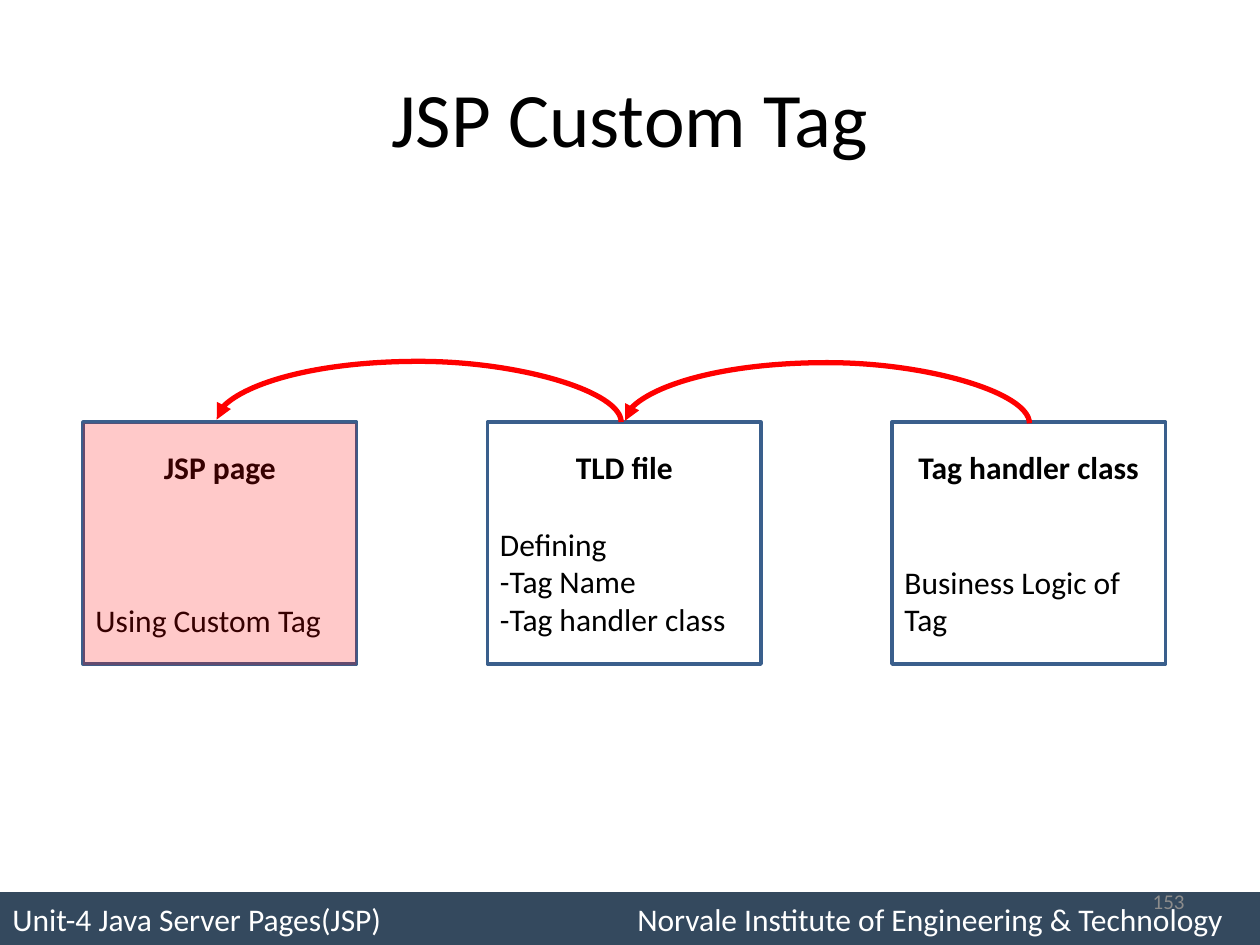
from dataclasses import dataclass
from typing import Any

from pptx import Presentation
from pptx import util as u
from pptx.dml.color import RGBColor
from pptx.enum import shapes, text
from pptx.oxml.ns import qn
from lxml import etree

LEFT, CENTER, RIGHT = text.PP_ALIGN.LEFT, text.PP_ALIGN.CENTER, text.PP_ALIGN.RIGHT


def color(value):
    return RGBColor.from_string(value)


def add_xml(parent, tag, **attributes):
    return etree.SubElement(parent, qn(tag), attributes)


def apply(target, values):
    for name, value in values.items():
        setattr(target, name, value)


@dataclass
class SlideBuilder:
    page: Any
    font: str = "Calibri"
    body_size: int = 18
    line_height: int = 22
    ink: str = "000000"
    border: str = "3A5F8C"
    accent: str = "FF0000"
    first_column: float = 0.66
    column_step: float = 3.21
    row_top: float = 3.35
    box_width: float = 2.17
    box_height: float = 1.92

    def column(self, index):
        return self.first_column + index * self.column_step

    def fill_text(self, shape, lines):
        frame = shape.text_frame
        apply(frame, {"word_wrap": True, "vertical_anchor": text.MSO_ANCHOR.MIDDLE})
        for index, (words, style) in enumerate(lines):
            para = frame.paragraphs[0] if index == 0 else frame.add_paragraph()
            apply(para, {
                "alignment": style.get("align", LEFT),
                "space_before": u.Pt(style.get("gap_lines", 0) * self.line_height),
            })
            span = para.add_run()
            span.text = words
            apply(span.font, {
                "name": self.font,
                "size": u.Pt(style.get("size", self.body_size)),
                "bold": style.get("bold", False),
            })
            span.font.color.rgb = color(style.get("color", self.ink))

    def title(self, words):
        box = self.page.shapes.title
        apply(box, {"left": u.Inches(0.5), "top": u.Inches(0.3),
                    "width": u.Inches(9), "height": u.Inches(1.25)})
        self.fill_text(box, [(words, {"size": 44, "align": CENTER})])

    def rectangle(self, left, top, width, height, fill=None, line=None, alpha=None):
        box = self.page.shapes.add_shape(
            shapes.MSO_SHAPE.RECTANGLE, *map(u.Inches, (left, top, width, height)))
        box.shadow.inherit = False
        if fill:
            box.fill.solid()
            box.fill.fore_color.rgb = color(fill)
            if alpha:
                paint = box._element.spPr.find(qn("a:solidFill"))[0]
                add_xml(paint, "a:alpha", val=str(alpha * 1000))
        else:
            box.fill.background()
        if line:
            box.line.color.rgb = color(line)
            box.line.width = u.Pt(2)
        else:
            box.line.fill.background()
        return box

    def card(self, index, heading, details, gap_lines):
        box = self.rectangle(self.column(index), self.row_top,
                             self.box_width, self.box_height, line=self.border)
        lines = [(heading, {"bold": True, "align": CENTER})]
        lines += [(words, {"gap_lines": 0 if row else gap_lines})
                  for row, words in enumerate(details)]
        self.fill_text(box, lines)

    def highlight(self, index):
        self.rectangle(self.column(index), self.row_top + 0.01,
                       self.box_width, self.box_height, fill=self.accent, alpha=21)

    def arc(self, start_x, start_y, rise=0.48, drop=0.02):
        half = self.column_step / 2
        center_x = start_x - half
        center_y = start_y - drop / 2
        arrow = self.page.shapes.add_connector(
            shapes.MSO_CONNECTOR.CURVE,
            u.Inches(center_x - drop / 2), u.Inches(center_y + half),
            u.Inches(center_x + drop / 2), u.Inches(center_y - half))
        arrow.line.color.rgb = color(self.accent)
        arrow.line.width = u.Pt(3)
        properties = arrow._element.spPr
        properties.find(qn("a:xfrm")).set("rot", str(270 * 60000))
        guides = properties.find(qn("a:prstGeom")).find(qn("a:avLst"))
        add_xml(guides, "a:gd", name="adj1", fmla=f"val {round(rise / drop * 100000)}")
        add_xml(properties.find(qn("a:ln")), "a:tailEnd", type="triangle")
        add_xml(properties, "a:effectLst")

    def footer(self, unit, institute):
        bar = self.rectangle(0, 7.08, 10, 0.42, fill="34495E")
        self.fill_text(bar, [(f"{unit}\t{institute}", {"color": "FFFFFF"})])
        properties = bar.text_frame.paragraphs[0]._p.get_or_add_pPr()
        stops = add_xml(properties, "a:tabLst")
        add_xml(stops, "a:tab", pos=str(u.Inches(4.96)), algn="l")

    def page_number(self, number):
        box = self.page.shapes.add_textbox(*map(u.Inches, (7.17, 6.95, 2.33, 0.4)))
        self.fill_text(box, [(number, {"size": 12, "color": "8C8C8C", "align": RIGHT})])


def main():
    deck = Presentation()
    apply(deck, {"slide_width": u.Inches(10), "slide_height": u.Inches(7.5)})
    slide = SlideBuilder(deck.slides.add_slide(deck.slide_layouts[5]))
    slide.footer("Unit-4 Java Server Pages(JSP)",
                 "Norvale Institute of Engineering & Technology")
    slide.title("JSP Custom Tag")
    slide.page_number("153")
    slide.card(2, "Tag handler class", ["Business Logic of Tag"], 2)
    slide.card(1, "TLD file", ["Defining", "-Tag Name", "-Tag handler class"], 1)
    slide.card(0, "JSP page", ["Using Custom Tag"], 3)
    slide.arc(8.17, 3.36)
    slide.arc(4.93, 3.35)
    slide.highlight(0)
    deck.save("out.pptx")


if __name__ == "__main__":
    main()
